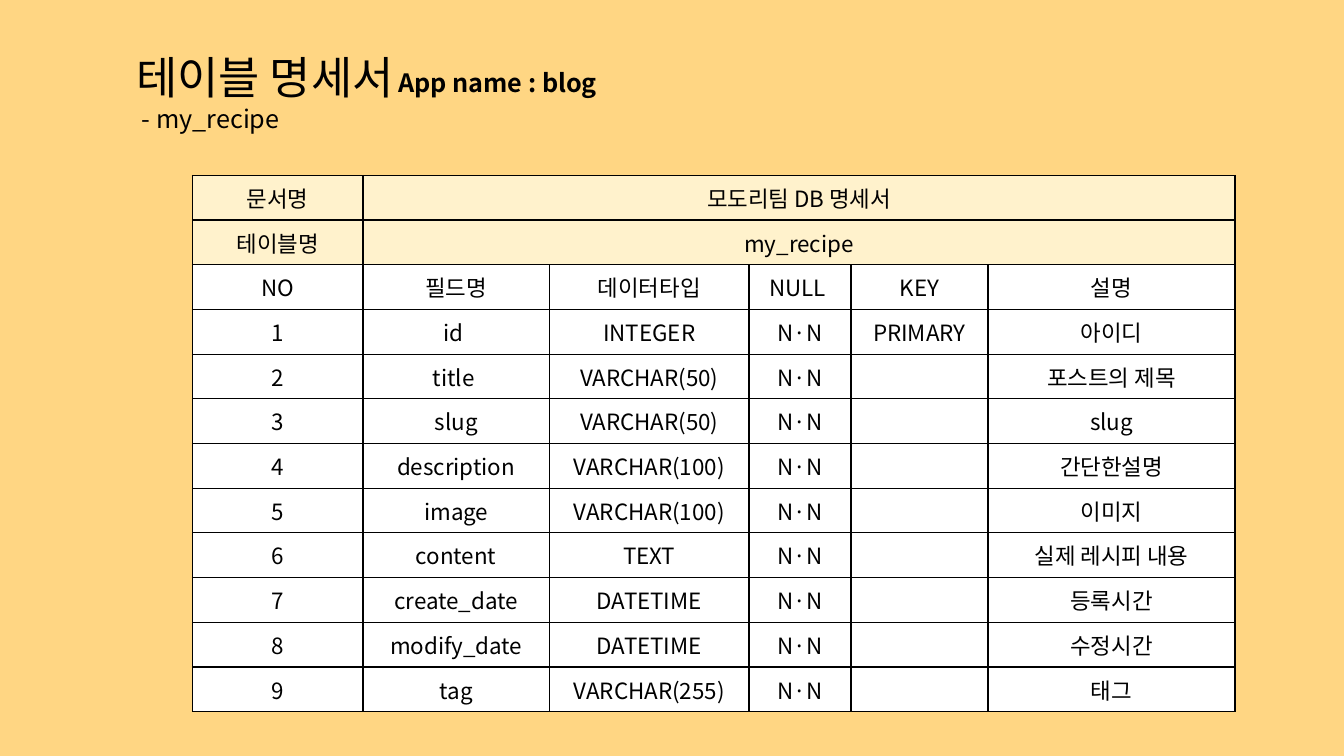
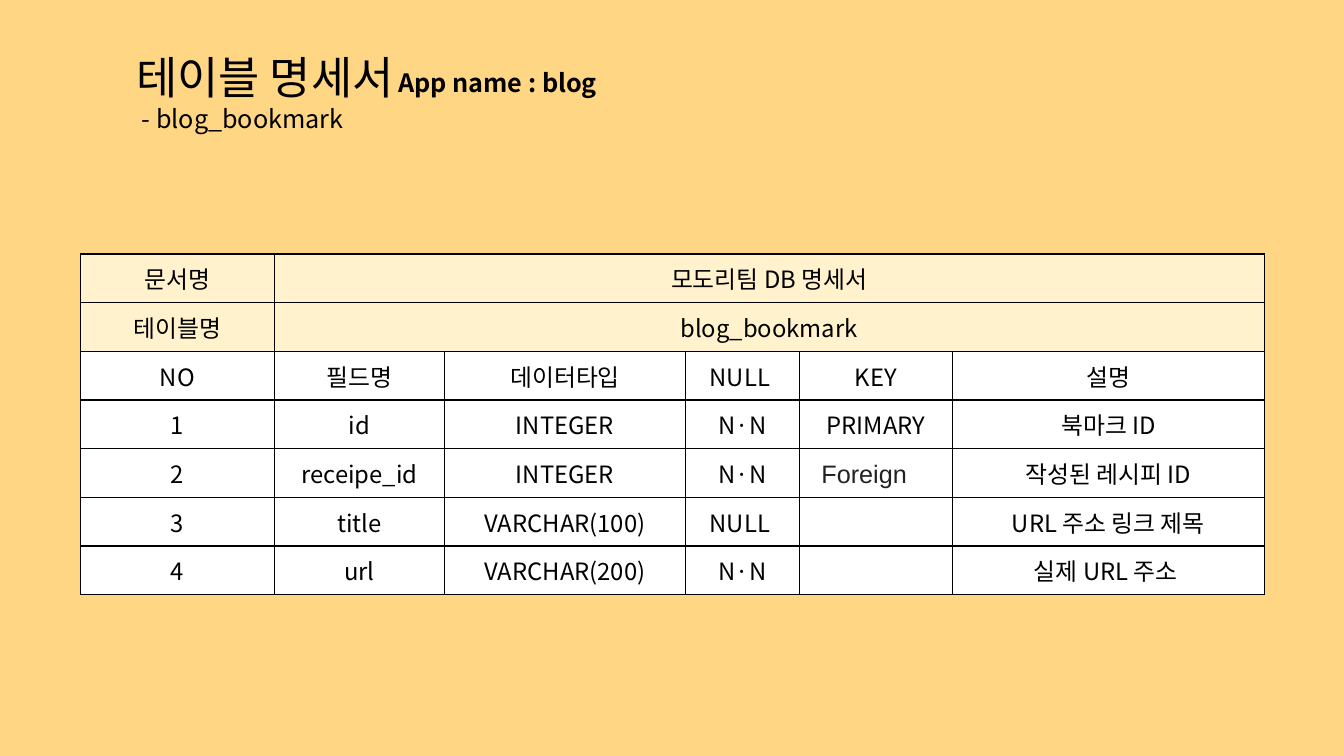
from lxml.etree import SubElement
from pptx import Presentation
from pptx.dml.color import RGBColor
from pptx.enum.text import MSO_ANCHOR as Anchor, MSO_AUTO_SIZE as AutoSize, PP_ALIGN as Align
from pptx.oxml.ns import qn
from pptx.util import Pt

PX = 9144  # one px is a hundredth of an inch
BACKDROP = RGBColor(0xFF, 0xD6, 0x83)
CREAM = RGBColor(0xFF, 0xF2, 0xCC)
WHITE = RGBColor(0xFF, 0xFF, 0xFF)
BLACK = RGBColor(0x00, 0x00, 0x00)
CHARCOAL = RGBColor(0x22, 0x22, 0x22)
FONT = "Noto Sans CJK KR"

TITLE = {"size": Pt(32)}
SUBTITLE = {"size": Pt(18)}
APP_NAME = {"size": Pt(18), "bold": True}
FOREIGN = {"size": Pt(18), "name": "Arial", "color": CHARCOAL}

HEADER = ["NO", "필드명", "데이터타입", "NULL ", "KEY", "설명"]
# Each field: name, data type, null rule, key, description
RECIPE_FIELDS = [
    ["id ", "INTEGER", "N·N", "PRIMARY", "아이디"],
    ["title ", "VARCHAR(50)", "N·N", "", "포스트의 제목"],
    ["slug", "VARCHAR(50)", "N·N", "", "slug"],
    ["description", "VARCHAR(100)", "N·N", "", "간단한설명"],
    ["image", "VARCHAR(100)", "N·N", "", "이미지"],
    ["content", "TEXT", "N·N", "", "실제 레시피 내용"],
    ["create_date", "DATETIME", "N·N", "", "등록시간"],
    ["modify_date", "DATETIME", "N·N", "", "수정시간"],
    ["tag", "VARCHAR(255)", "N·N", "", "태그"],
]
BOOKMARK_FIELDS = [
    ["id", "INTEGER", "N·N", "PRIMARY", "북마크 ID"],
    ["receipe_id", "INTEGER", "N·N", [("Foreign", FOREIGN), ("　", {})], "작성된 레시피 ID"],
    ["title", "VARCHAR(100)", "NULL ", "", "URL 주소 링크 제목"],
    ["url", "VARCHAR(200)", "N·N", "", "실제 URL 주소 "],
]


def add_span(para, text, **values):
    """Add a run in the deck's font, changed by the given format values."""
    span = para.add_run()
    span.text = text
    values = {"name": FONT, "color": BLACK, "bold": False, **values}
    span.font.color.rgb = values.pop("color")
    for name, value in values.items():
        setattr(span.font, name, value)
    # East Asian letters need their own font entry
    SubElement(span.font._element, qn("a:ea"), typeface=values["name"])


def place(shape, box):
    for name, length in zip(("left", "top", "width", "height"), box):
        setattr(shape, name, length * PX)


def add_heading(page, box, table_name):
    """Title, table name below it, and the app name beside it."""
    title = page.shapes.title
    place(title, box)
    frame = title.text_frame
    frame.auto_size, frame.vertical_anchor = AutoSize.NONE, Anchor.TOP
    lines = [("테이블 명세서", TITLE), (f" - {table_name}", SUBTITLE)]
    for index, (text, values) in enumerate(lines):
        para = frame.add_paragraph() if index else frame.paragraphs[0]
        para.alignment = Align.LEFT
        add_span(para, text, **values)

    left, top = box[:2]
    label = page.shapes.add_textbox(0, 0, 0, 0)
    place(label, (left + 260, top + 18, 219, 40))
    label.text_frame.word_wrap = False
    add_span(label.text_frame.paragraphs[0], "App name : blog", **APP_NAME)


def add_borders(cell):
    properties = cell._tc.get_or_add_tcPr()
    for index, side in enumerate(("a:lnL", "a:lnR", "a:lnT", "a:lnB")):
        line = properties.makeelement(qn(side), {"w": str(Pt(1))})
        properties.insert(index, line)  # borders come before the fill
        fill = SubElement(line, qn("a:solidFill"))
        SubElement(fill, qn("a:srgbClr"), val=str(BLACK))


def fill_cell(cell, content, size, color):
    cell.fill.solid()
    cell.fill.fore_color.rgb = color
    add_borders(cell)
    cell.vertical_anchor = Anchor.MIDDLE
    for side in ("left", "right", "top", "bottom"):
        setattr(cell, f"margin_{side}", PX)
    para = cell.text_frame.paragraphs[0]
    para.alignment = Align.CENTER
    spans = [(content, {})] if isinstance(content, str) else content
    for text, values in spans:
        if text:
            add_span(para, text, **{"size": size, **values})


def add_specification(page, box, widths, size, table_name, fields):
    """Two cream heading rows, a column header, then numbered fields."""
    headings = [["문서명", "모도리팀 DB 명세서"], ["테이블명", table_name]]
    rows = [pair + [""] * 4 for pair in headings] + [HEADER]
    rows += [[str(number), *field] for number, field in enumerate(fields, 1)]

    frame = page.shapes.add_table(len(rows), len(HEADER), 0, 0, 0, 0)
    place(frame, box)
    table = frame.table
    for column, width in zip(table.columns, widths):
        column.width = width * PX
    for index, row in enumerate(rows):
        table.rows[index].height = box[3] * PX // len(rows)
        color = CREAM if index < len(headings) else WHITE
        for position, content in enumerate(row):
            fill_cell(table.cell(index, position), content, size, color)
    for index in range(len(headings)):
        table.cell(index, 1).merge(table.cell(index, len(HEADER) - 1))


def add_page(deck, table_name, box, widths, size, fields):
    page = deck.slides.add_slide(deck.slide_layouts[5])
    page.background.fill.solid()
    page.background.fill.fore_color.rgb = BACKDROP
    add_heading(page, (125, 44, 574, 94), table_name)
    add_specification(page, box, widths, size, table_name, fields)


def main():
    deck = Presentation()
    deck.slide_width, deck.slide_height = 1333 * PX, 750 * PX
    add_page(deck, "my_recipe", (191, 174, 1034, 532),
             (169, 185, 198, 101, 136, 245), Pt(16), RECIPE_FIELDS)
    add_page(deck, "blog_bookmark", (80, 252, 1174, 338),
             (192, 169, 239, 113, 152, 309), Pt(17), BOOKMARK_FIELDS)
    deck.save("out.pptx")


if __name__ == "__main__":
    main()
